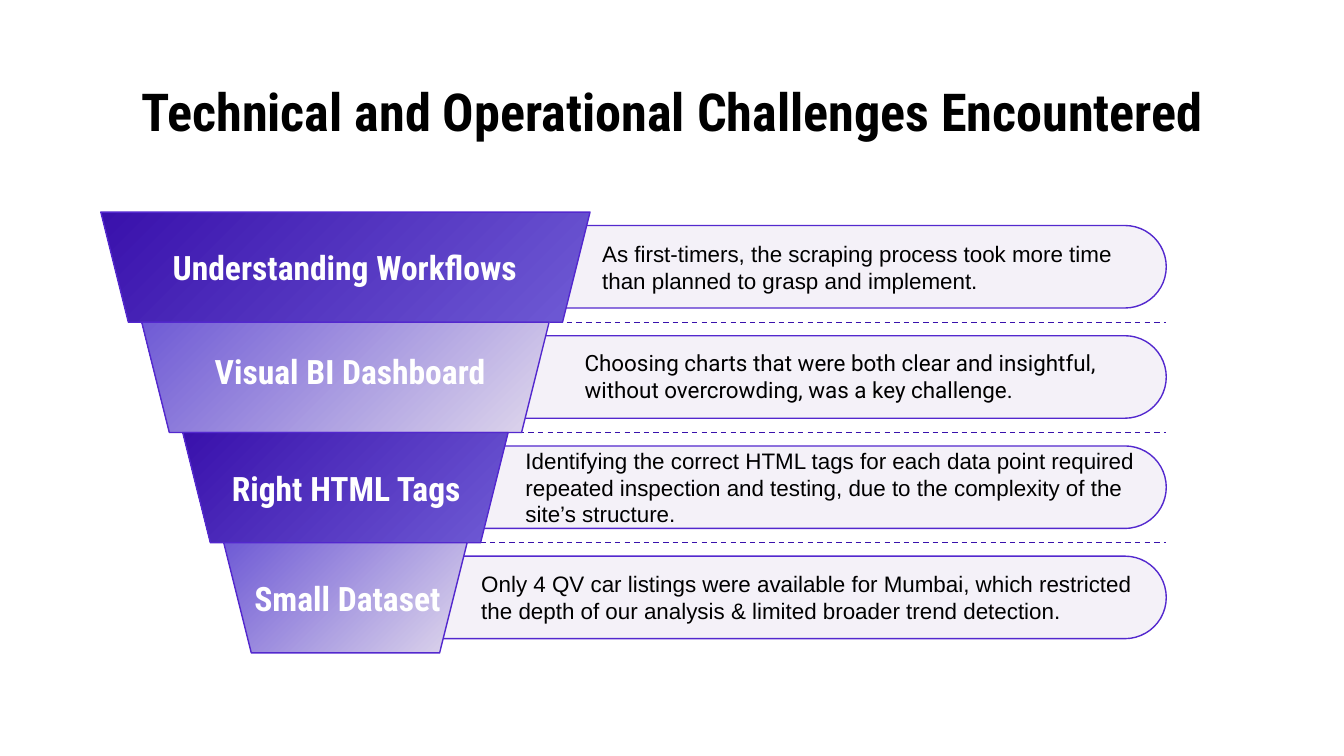
"""Build a slide with a four-step funnel of project challenges."""
from lxml.etree import SubElement
from pptx import Presentation
from pptx.dml.color import RGBColor
from pptx.enum.dml import MSO_LINE
from pptx.enum.shapes import MSO_CONNECTOR, MSO_SHAPE
from pptx.enum.text import MSO_ANCHOR, PP_ALIGN
from pptx.oxml.ns import qn
from pptx.util import Pt


def rgb(value):
    return RGBColor.from_string(value)


def add_text(s, text, box, fmt, align, anchor, left_inset=7.2):
    tf = s.shapes.add_textbox(*map(Pt, box)).text_frame
    frame = {"word_wrap": True, "vertical_anchor": anchor, "margin_left": Pt(left_inset),
             "margin_right": Pt(7.2), "margin_top": Pt(7.2), "margin_bottom": Pt(7.2)}
    for key, value in frame.items():
        setattr(tf, key, value)
    p = tf.paragraphs[0]
    p.alignment = align
    r = p.add_run()
    r.text = text
    for key, value in fmt.items():
        if key == "color":
            r.font.color.rgb = rgb(value)
        else:
            setattr(r.font, key, value)


TITLE = {"name": "Roboto Condensed", "size": Pt(28), "bold": True, "color": "000000"}
LABEL = {**TITLE, "size": Pt(18), "color": "FFFFFF"}
BODY = {"name": "Arial", "size": Pt(12), "color": "000000"}
DARK, MID, PALE, EDGE = "3911AC", "6F5BD5", "E0D8EC", "5328CE"
TOP, STEP = 113.6, 59.05

rows = [
    ("Understanding Workflows", (75.6, 125.3, 218.2, 36.7), "Arial", (308.2, 128.9, 311.8, 28.1),
     "As first-timers, the scraping process took more time than planned to grasp and implement."),
    ("Visual BI Dashboard", (97.9, 180.7, 179.3, 36.7), "Roboto", (298.8, 187.2, 321.8, 28.1),
     "Choosing charts that were both clear and insightful, without overcrowding, was a key challenge."),
    ("Right HTML Tags", (110.2, 243.4, 150.5, 36.7), "Arial", (267.1, 233.3, 354.2, 55.4),
     "Identifying the correct HTML tags for each data point required repeated inspection and testing, "
     "due to the complexity of the site’s structure."),
    ("Small Dataset", (128.9, 302.4, 114.5, 36.7), "Arial", (243.4, 306, 380.9, 28.1),
     "Only 4 QV car listings were available for Mumbai, which restricted the depth of our analysis "
     "& limited broader trend detection."),
]

prs = Presentation()
prs.slide_width, prs.slide_height = Pt(720), Pt(405)
s = prs.slides.add_slide(prs.slide_layouts[6])
add_text(s, "Technical and Operational Challenges Encountered", (36, 35.3, 648, 45.4),
         TITLE, PP_ALIGN.CENTER, MSO_ANCHOR.TOP)

for i in range(1, len(rows)):
    y = Pt(TOP + i * STEP)
    line = s.shapes.add_connector(MSO_CONNECTOR.STRAIGHT, Pt(185), y, Pt(624.5), y)
    line.line.color.rgb = rgb(DARK)
    line.line.width = Pt(0.75)
    line.line.dash_style = MSO_LINE.DASH
    SubElement(line._element.spPr, qn("a:effectLst"))

for i, (label, label_box, font, body_box, body) in enumerate(rows):
    y = TOP + i * STEP
    pill = s.shapes.add_shape(MSO_SHAPE.ROUNDED_RECTANGLE, Pt(211), Pt(y + 7.2), Pt(413.8), Pt(44.2))
    pill.adjustments[0] = 0.5
    pill.fill.solid()
    pill.fill.fore_color.rgb = rgb(PALE)
    clr = pill.fill._xPr.find(qn("a:solidFill"))[0]
    SubElement(clr, qn("a:alpha"), val="34000")

    band = s.shapes.add_shape(MSO_SHAPE.TRAPEZOID, Pt(54 + i * 21.95), Pt(y),
                              Pt(262.1 - i * 43.9), Pt(STEP))
    band.adjustments[0] = 0.25
    band.rotation = 180
    band.fill.gradient()
    band.fill.gradient_angle = 315
    for stop, color in zip(band.fill.gradient_stops, [(MID, DARK), (PALE, MID)][i % 2]):
        stop.color.rgb = rgb(color)

    for sp in (pill, band):
        sp.shadow.inherit = False
        sp.line.color.rgb = rgb(EDGE)
        sp.line.width = Pt(0.75)

    add_text(s, label, label_box, LABEL, PP_ALIGN.CENTER, MSO_ANCHOR.TOP)
    add_text(s, body, body_box, {**BODY, "name": font}, PP_ALIGN.LEFT, MSO_ANCHOR.MIDDLE, 14.4)

prs.save("out.pptx")
